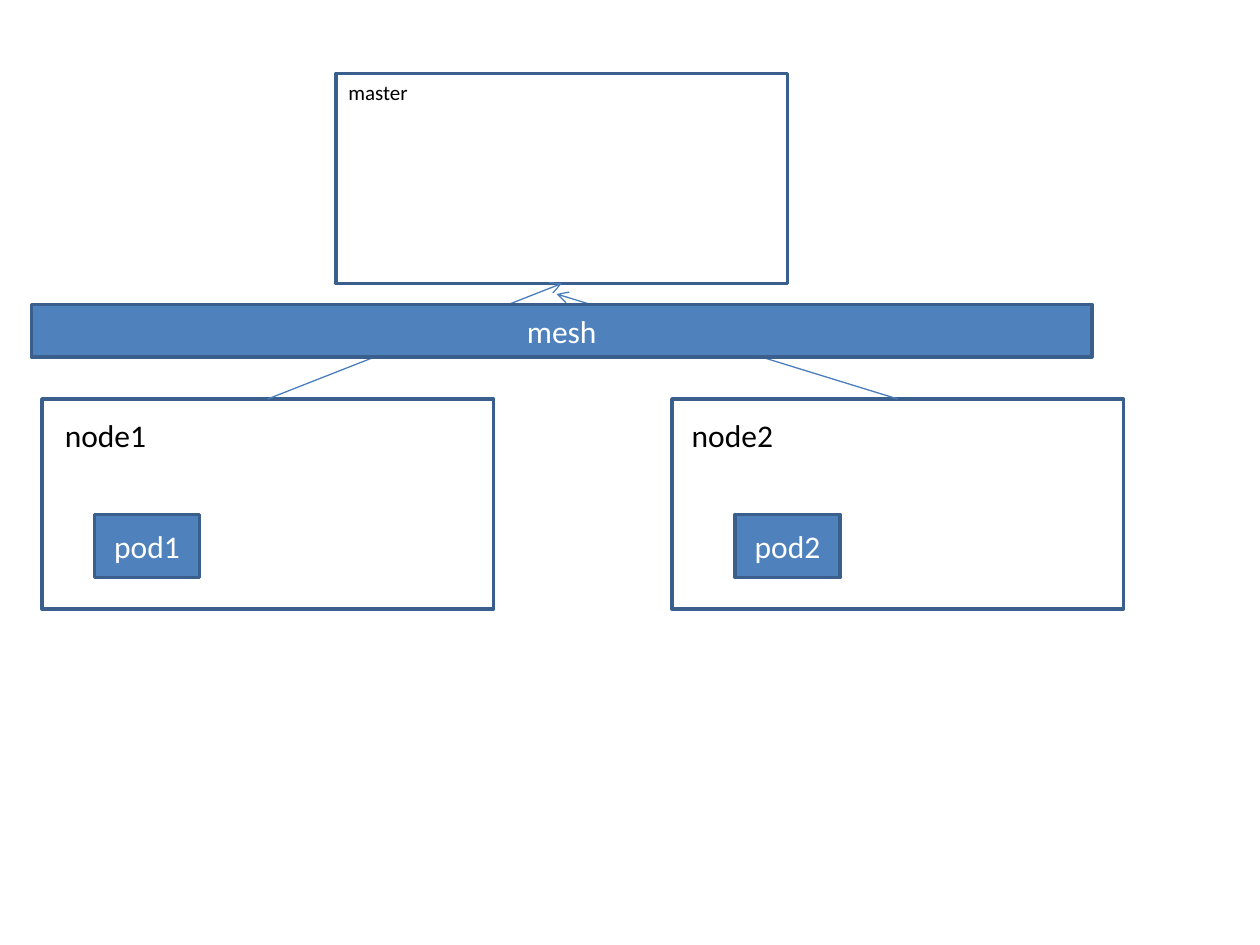
from pptx import Presentation
from pptx import util as u
from pptx.dml.color import RGBColor
from pptx.enum import shapes, text
from pptx.oxml.ns import qn
from lxml import etree

COLUMNS, ROWS = 120, 90
FRAME = (43, 20)
POD = (10, 6)


def color(value):
    return RGBColor.from_string(value)


def assign(target, values):
    for name, value in values.items():
        setattr(target, name, value)


class Diagram:
    font = "Calibri"
    fill = "4F81BD"
    border = "3A5F8C"
    link = "4B7EBC"
    light = "FFFFFF"
    dark = "000000"

    def __init__(self, deck):
        self.page = deck.slides.add_slide(deck.slide_layouts[6])
        self.cell = (deck.slide_width / COLUMNS, deck.slide_height / ROWS)

    def place(self, *grid):
        return [round(value * self.cell[index % 2]) for index, value in enumerate(grid)]

    def caption(self, box, words, size, ink, align):
        para = box.text_frame.paragraphs[0]
        para.alignment = align
        span = para.add_run()
        span.text = words
        assign(span.font, {"name": self.font, "size": u.Pt(size)})
        span.font.color.rgb = color(ink)

    def frame(self, column, row, width, height):
        box = self.page.shapes.add_shape(
            shapes.MSO_SHAPE.RECTANGLE, *self.place(column, row, width, height))
        box.shadow.inherit = False
        box.fill.background()
        box.line.color.rgb = color(self.border)
        box.line.width = u.Pt(2)
        return box

    def block(self, words, *grid):
        box = self.frame(*grid)
        box.fill.solid()
        box.fill.fore_color.rgb = color(self.fill)
        box.text_frame.vertical_anchor = text.MSO_ANCHOR.MIDDLE
        self.caption(box, words, 18, self.light, text.PP_ALIGN.CENTER)

    def label(self, words, size, *grid):
        box = self.page.shapes.add_textbox(*self.place(*grid))
        assign(box.text_frame, {
            "word_wrap": False,
            "auto_size": text.MSO_AUTO_SIZE.SHAPE_TO_FIT_TEXT,
        })
        self.caption(box, words, size, self.dark, text.PP_ALIGN.LEFT)

    def arrow(self, *grid):
        connector = self.page.shapes.add_connector(
            shapes.MSO_CONNECTOR.STRAIGHT, *self.place(*grid))
        connector.line.color.rgb = color(self.link)
        connector.line.width = u.Pt(0.75)
        properties = connector._element.spPr
        etree.SubElement(properties.find(qn("a:ln")), qn("a:tailEnd"), type="arrow")
        etree.SubElement(properties, qn("a:effectLst"))


def main():
    deck = Presentation()
    assign(deck, {"slide_width": u.Inches(10), "slide_height": u.Inches(7.5)})
    diagram = Diagram(deck)

    diagram.frame(32, 7, *FRAME)
    diagram.label("master", 12, 32, 7, 8.2, 3.6)

    nodes = (
        ("node1", 4, 5, "pod1", 9, 53.5, 27),
        ("node2", 64, 64.7, "pod2", 70, 53, 28),
    )
    for node, left, label_left, pod, pod_left, tip, tip_row in nodes:
        diagram.frame(left, 38, *FRAME)
        diagram.label(node, 18, label_left, 39, 10.3, 4.8)
        diagram.block(pod, pod_left, 49, *POD)
        diagram.arrow(left + FRAME[0] / 2, 38, tip, tip_row)

    diagram.block("mesh", 3, 29, 101, 5)
    deck.save("out.pptx")


if __name__ == "__main__":
    main()
